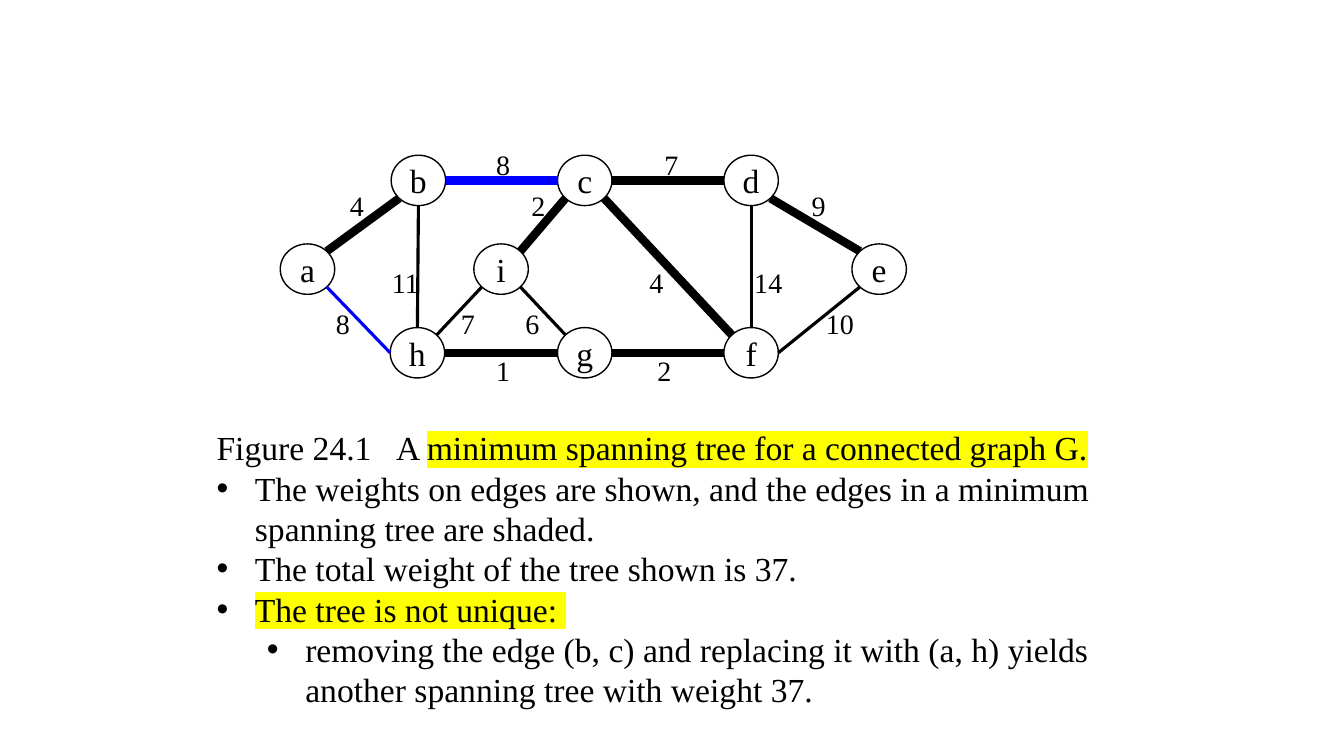
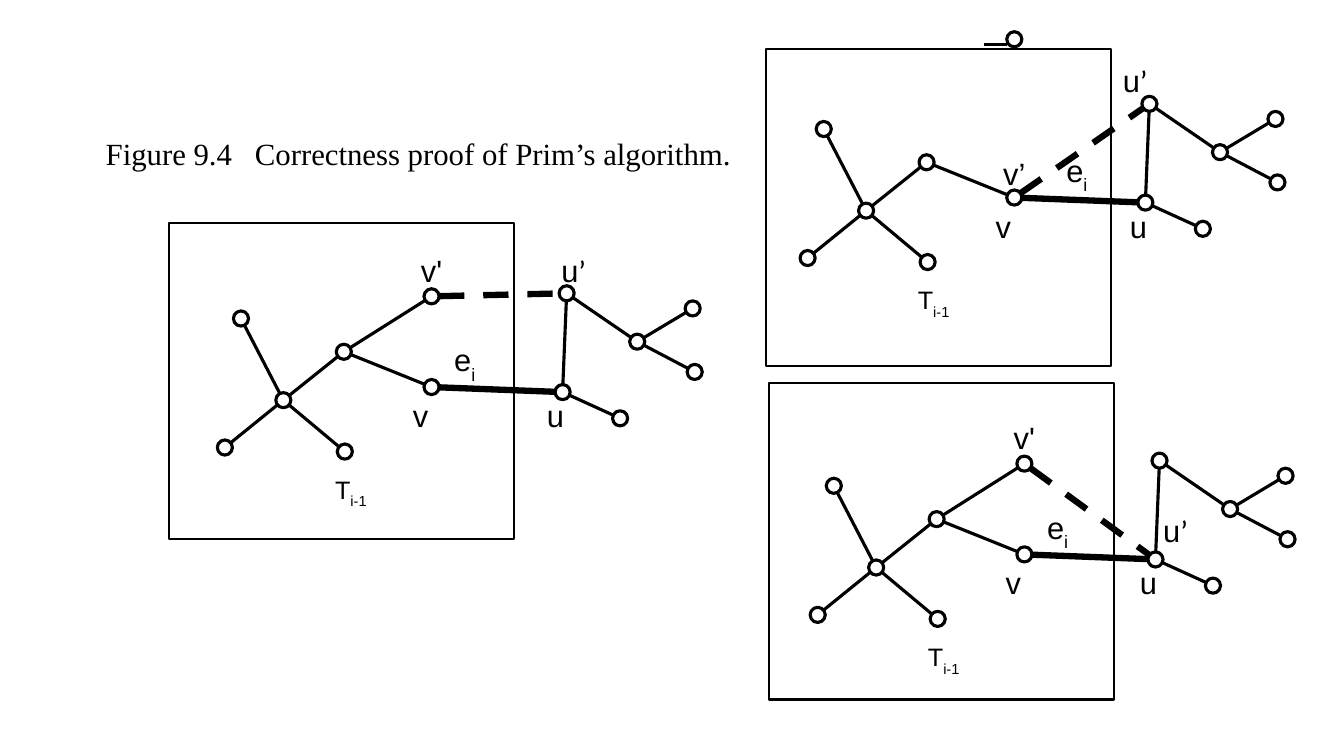
from dataclasses import dataclass
from math import hypot

from pptx import Presentation
from pptx.dml.color import RGBColor
from pptx.enum.dml import MSO_LINE
from pptx.enum.shapes import MSO_CONNECTOR, MSO_SHAPE
from pptx.enum.text import MSO_ANCHOR, PP_ALIGN
from pptx.oxml.ns import qn
from pptx.util import Inches, Pt
from lxml import etree

OVAL, RECT = MSO_SHAPE.OVAL, MSO_SHAPE.RECTANGLE
LINE = MSO_CONNECTOR.STRAIGHT
MIDDLE = MSO_ANCHOR.MIDDLE
LEFT, CENTER = PP_ALIGN.LEFT, PP_ALIGN.CENTER
DASH = MSO_LINE.DASH


@dataclass(frozen=True)
class Theme:
    black: RGBColor = RGBColor(0, 0, 0)
    white: RGBColor = RGBColor(255, 255, 255)
    blue: RGBColor = RGBColor(0, 0, 255)
    mark: str = "FFFF00"
    serif: str = "Times New Roman"
    sans: str = "Arial"
    quote: str = "Calibri"
    body: float = 24
    lead: float = 28.8
    weight: float = 20
    name: float = 22
    tree: float = 18
    bold: float = 6
    thick: float = 4.5
    thin: float = 2.25


T = Theme()

# Weighted graph: node centres, then edges as
# (node, side, node, side, weight, label x, label y, colour, width)
SIZE_X, SIZE_Y = 0.54, 0.5
NODES = {
    "a": (3.05, 2.67), "b": (4.15, 1.79), "c": (5.8, 1.79),
    "d": (7.45, 1.79), "e": (8.72, 2.67), "f": (7.45, 3.5),
    "g": (5.8, 3.5), "h": (4.14, 3.5), "i": (4.97, 2.67),
}
SIDES = {
    "n": (0, -1), "s": (0, 1), "w": (-1, 0), "e": (1, 0),
    "nw": (-0.71, -0.71), "ne": (0.71, -0.71),
    "sw": (-0.71, 0.71), "se": (0.71, 0.71),
}
EDGES = [
    ("a", "ne", "b", "sw", "4", 3.54, 2.04, T.black, T.bold),
    ("b", "e", "c", "w", "8", 4.99, 1.63, T.blue, T.bold),
    ("c", "e", "d", "w", "7", 6.66, 1.63, T.black, T.bold),
    ("d", "se", "e", "nw", "9", 8.12, 2.04, T.black, T.bold),
    ("c", "sw", "i", "ne", "2", 5.34, 2.04, T.black, T.bold),
    ("c", "se", "f", "nw", "4", 6.51, 2.8, T.black, T.bold),
    ("h", "e", "g", "w", "1", 4.99, 3.67, T.black, T.bold),
    ("g", "e", "f", "w", "2", 6.59, 3.67, T.black, T.bold),
    ("h", "n", "b", "s", "11", 4.02, 2.8, T.black, T.thin),
    ("f", "n", "d", "s", "14", 7.62, 2.8, T.black, T.thin),
    ("a", "se", "h", "w", "8", 3.4, 3.21, T.blue, T.thin),
    ("i", "sw", "h", "ne", "7", 4.64, 3.21, T.black, T.thin),
    ("i", "se", "g", "nw", "6", 5.28, 3.21, T.black, T.thin),
    ("f", "e", "e", "sw", "10", 8.33, 3.21, T.black, T.thin),
]

# Facts: (text, marked, level)
FACTS = [
    ("The weights on edges are shown, and the edges in a minimum "
     "spanning tree are shaded.", False, 0),
    ("The total weight of the tree shown is 37.", False, 0),
    ("The tree is not unique: ", True, 0),
    ("removing the edge (b, c) and replacing it with (a, h) yields "
     "another spanning tree with weight 37.", False, 1),
]

# Proof tree: dot centres and links, before each panel's shift
DOT = 0.15
DOTS = {
    "top": (2.39, 3.16), "hub": (2.81, 3.97), "low": (2.23, 4.44),
    "fork": (3.41, 3.49), "leaf": (3.42, 4.48),
    "v'": (4.28, 2.94), "v": (4.28, 3.84),
    "u'": (5.62, 2.91), "u": (5.58, 3.89), "knot": (6.32, 3.39),
    "up": (6.87, 3.06), "down": (6.89, 3.69), "end": (6.15, 4.15),
}
LINKS = [
    ("knot", "up"), ("knot", "down"), ("u'", "knot"), ("u'", "u"),
    ("u", "end"), ("fork", "v"), ("fork", "hub"), ("top", "hub"),
    ("hub", "low"), ("hub", "leaf"),
]
# Names in every panel: (text, below, quote, x, y, size)
NAMES = [
    ("T", "i-1", "", 3.48, 4.88, T.tree),
    ("v", "", "", 4.17, 4.12, T.name),
    ("u", "", "", 5.51, 4.12, T.name),
]


def paint(shape, width, fill=None):
    shape.shadow.inherit = False
    if fill is None:
        shape.fill.background()
    else:
        shape.fill.solid()
        shape.fill.fore_color.rgb = fill
    shape.line.color.rgb = T.black
    shape.line.width = Pt(width)


def style(para, size, font=T.serif, align=LEFT):
    para.alignment = align
    para.font.size = Pt(size)
    para.font.name = font
    para.font.color.rgb = T.black


def oval(slide, x, y, wide, high, width):
    shape = slide.shapes.add_shape(
        OVAL, Inches(x - wide / 2), Inches(y - high / 2),
        Inches(wide), Inches(high))
    paint(shape, width, T.white)
    return shape


def line(slide, start, end, width, color=T.black, dash=None):
    link = slide.shapes.add_connector(
        LINE, *(Inches(n) for n in (*start, *end)))
    link.line.color.rgb = color
    link.line.width = Pt(width)
    if dash is not None:
        link.line.dash_style = dash
    etree.SubElement(link._element.spPr, qn("a:effectLst"))


def trim(frame):
    frame.margin_left = frame.margin_right = 0
    frame.margin_top = frame.margin_bottom = 0
    frame.vertical_anchor = MIDDLE


def label(slide, text, x, y, size, font=T.sans, below="", quote=""):
    wide, high = 0.6, 0.4
    box = slide.shapes.add_textbox(
        Inches(x - wide / 2), Inches(y - high / 2),
        Inches(wide), Inches(high))
    trim(box.text_frame)
    para = box.text_frame.paragraphs[0]
    style(para, size, font, CENTER)
    para.add_run().text = text
    if below:
        run = para.add_run()
        run.text = below
        run._r.get_or_add_rPr().set("baseline", "-30000")
    if quote:
        run = para.add_run()
        run.text = quote
        run.font.name = T.quote


def text_box(slide, x, y, wide, high):
    box = slide.shapes.add_textbox(
        Inches(x), Inches(y), Inches(wide), Inches(high))
    box.text_frame.word_wrap = True
    return box.text_frame


def mark(run):
    glow = etree.SubElement(run._r.get_or_add_rPr(), qn("a:highlight"))
    etree.SubElement(glow, qn("a:srgbClr")).set("val", T.mark)


def tab_stop(para, at):
    tabs = etree.Element(qn("a:tabLst"))
    stop = etree.SubElement(tabs, qn("a:tab"))
    stop.set("pos", str(Inches(at)))
    stop.set("algn", "l")
    para._p.get_or_add_pPr().find(qn("a:defRPr")).addprevious(tabs)


def bullet(para, level):
    para.level = level
    props = para._p.get_or_add_pPr()
    props.set("marL", str(Inches(0.38 + level * 0.5)))
    props.set("indent", str(Inches(-0.38)))
    font = etree.Element(qn("a:buFont"))
    font.set("typeface", T.sans)
    char = etree.Element(qn("a:buChar"))
    char.set("char", "•")
    for item in (font, char):
        props.find(qn("a:defRPr")).addprevious(item)


# Slide 1: spanning tree
def side(name, way):
    (x, y), (dx, dy) = NODES[name], SIDES[way]
    return x + dx * SIZE_X / 2, y + dy * SIZE_Y / 2


def graph(slide):
    for name, (x, y) in NODES.items():
        shape = oval(slide, x, y, SIZE_X, SIZE_Y, 1)
        trim(shape.text_frame)
        para = shape.text_frame.paragraphs[0]
        para.add_run().text = name
        style(para, T.body, align=CENTER)
    for one, out, two, into, cost, x, y, color, width in EDGES:
        line(slide, side(one, out), side(two, into), width, color)
        label(slide, cost, x, y, T.weight, T.serif)


def facts(slide):
    frame = text_box(slide, 2.05, 4.19, 9, 2.93)
    para = frame.paragraphs[0]
    para.line_spacing = Pt(T.lead)
    style(para, T.body)
    tab_stop(para, 1.78)
    para.add_run().text = "Figure 24.1\tA "
    run = para.add_run()
    run.text = "minimum spanning tree for a connected graph G."
    mark(run)
    for text, lit, level in FACTS:
        para = frame.add_paragraph()
        para.line_spacing = Pt(T.lead)
        style(para, T.body)
        bullet(para, level)
        run = para.add_run()
        run.text = text
        if lit:
            mark(run)


# Slide 2: proof panels
def link(slide, one, two, width=T.thin, dash=None):
    """Join two dots from rim to rim."""
    dx, dy = two[0] - one[0], two[1] - one[1]
    part = DOT / 2 / hypot(dx, dy)
    line(slide, (one[0] + dx * part, one[1] + dy * part),
         (two[0] - dx * part, two[1] - dy * part), width, dash=dash)


def panel(slide, shift, frame, dashed, names, lift=0):
    sx, sy = shift
    spots = {key: (x + sx, y + sy) for key, (x, y) in DOTS.items()}
    if lift:
        x, y = spots["v'"]
        spots["v'"] = x, y - lift
        line(slide, (x - 0.07, y - lift + 0.05),
             (x - 0.3, y - lift + 0.05), T.thin)
    else:
        link(slide, spots["v'"], spots["fork"])
    for x, y in spots.values():
        oval(slide, x, y, DOT, DOT, T.thin)
    for one, two in LINKS:
        link(slide, spots[one], spots[two])
    link(slide, *(spots[key] for key in dashed), T.thick, DASH)
    link(slide, spots["v"], spots["u"], T.thick)
    for text, below, quote, x, y, size in NAMES + names:
        label(slide, text, x + sx, y + sy, size, below=below, quote=quote)
    box = slide.shapes.add_shape(
        RECT, Inches(frame[0]), Inches(frame[1]), Inches(3.42), Inches(3.14))
    paint(box, 1.5)


def proof(slide):
    def edge(x):
        return ("e", "i", "", x, 3.6, T.name)

    def far(x, y):
        return ("u", "", "’", x, y, T.name)

    near = ("v'", "", "", 4.28, 2.68, T.name)
    panel(slide, (0, 0), (1.68, 2.21), ("v'", "u'"),
          [edge(4.61), far(5.69, 2.68), near])
    panel(slide, (5.78, -1.88), (7.6, 0.49), ("v", "u'"),
          [edge(4.9), far(5.48, 2.68), ("v’", "", "", 4.28, 3.6, T.name)],
          lift=0.67)
    panel(slide, (5.88, 1.66), (7.63, 3.8), ("v'", "u"),
          [edge(4.61), far(5.78, 3.6), near])
    para = text_box(slide, 0.95, 1.29, 6.48, 0.47).paragraphs[0]
    style(para, T.name)
    tab_stop(para, 1.48)
    para.add_run().text = "Figure 9.4\tCorrectness proof of Prim’s algorithm."


def main():
    deck = Presentation()
    deck.slide_width, deck.slide_height = Inches(13.33), Inches(7.5)
    blank = deck.slide_layouts[6]
    first = deck.slides.add_slide(blank)
    graph(first)
    facts(first)
    proof(deck.slides.add_slide(blank))
    deck.save("out.pptx")


main()
